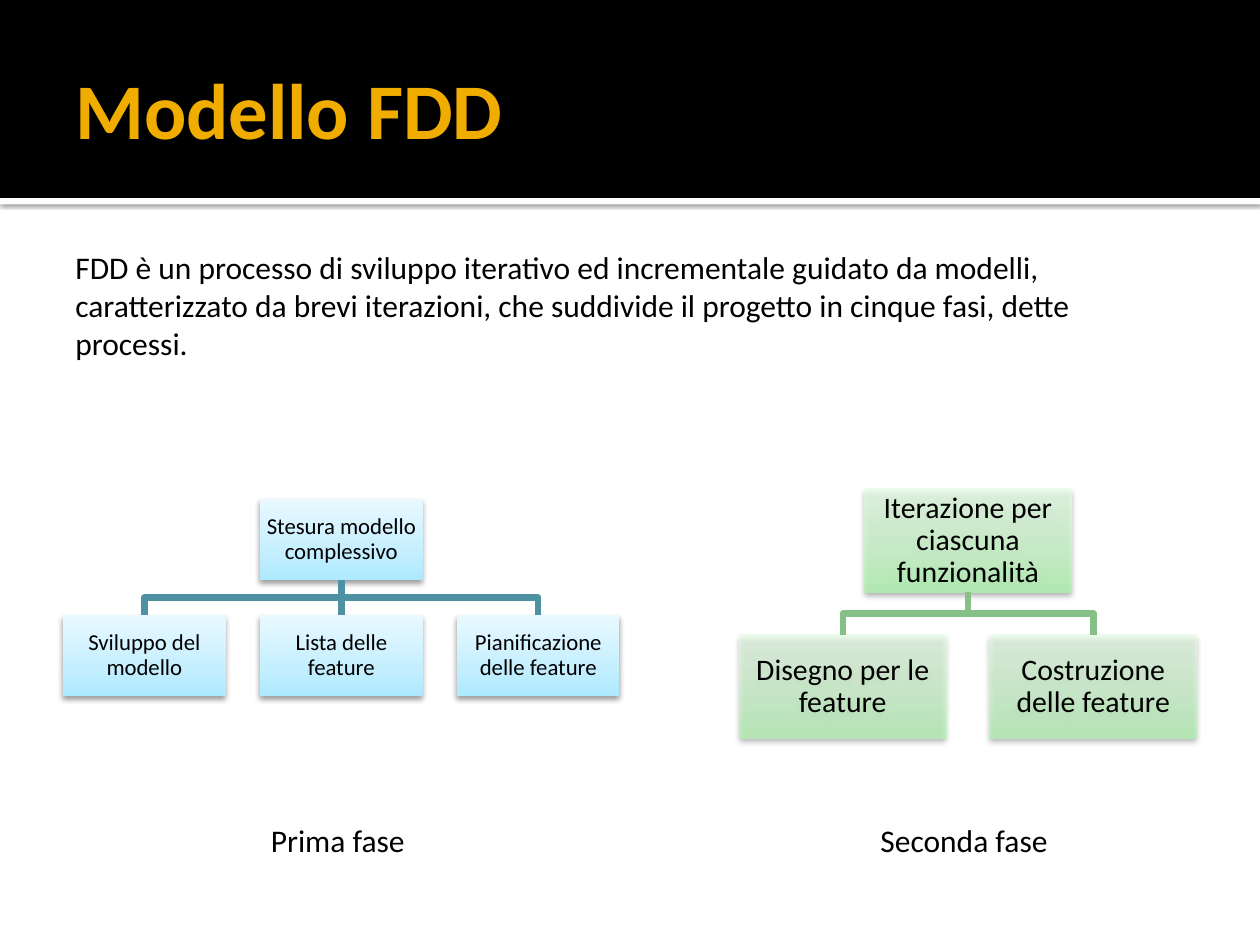
"""Build the slide on the FDD model: heading, definition and two phase trees."""
import pptx
import pptx.dml.color
import pptx.enum.shapes
import pptx.enum.text
import pptx.oxml
import pptx.oxml.ns
import pptx.util

Cm = pptx.util.Cm
Pt = pptx.util.Pt
ANCHOR = pptx.enum.text.MSO_ANCHOR
ALIGN = pptx.enum.text.PP_ALIGN
NS = pptx.oxml.ns.nsdecls("a")

TITLE = "Modello FDD"
BODY = ("FDD è un processo di sviluppo iterativo ed incrementale guidato da modelli, "
        "caratterizzato da brevi iterazioni, che suddivide il progetto in cinque fasi, "
        "dette processi.")
TREES = [
    dict(root="Stesura modello complessivo",
         children=["Sviluppo del modello", "Lista delle feature", "Pianificazione delle feature"],
         left=1.27, pitch=3.97, box=(3.28, 1.64), tops=(10.06, 12.4), size=13, line="4D91A3",
         stops=[(0, "ADE9FF"), (35, "C5EFFF"), (100, "E9F9FF")], alphas=(100, 100)),
    dict(root="Iterazione per ciascuna funzionalità",
         children=["Disegno per le feature", "Costruzione delle feature"],
         left=14.91, pitch=5.05, box=(4.16, 2.08), tops=(9.86, 12.8), size=17, line="85C086",
         stops=[(0, "B0F6B1"), (35, "C8F8C8"), (100, "E9FDE9")], alphas=(80, 70)),
]
CAPTIONS = [("Prima fase", 5.21, 3.3), ("Seconda fase", 17.5, 4.04)]


def rgb(value):
    return pptx.dml.color.RGBColor.from_string(value)


def write(sp, text, size, color="000000", bold=False):
    tf = sp.text_frame
    tf.word_wrap = True
    p = tf.paragraphs[0]
    p.text = text
    p.font.name, p.font.size, p.font.bold = "Calibri", Pt(size), bold
    p.font.color.rgb = rgb(color)
    return tf


def add_text(s, text, box, size, **style):
    return write(s.shapes.add_textbox(*map(Cm, box)), text, size, **style)


def add_rect(s, box, fill=None):
    sp = s.shapes.add_shape(pptx.enum.shapes.MSO_SHAPE.RECTANGLE, *map(Cm, box))
    sp.shadow.inherit = False
    sp.line.fill.background()
    if fill:
        sp.fill.solid()
        sp.fill.fore_color.rgb = rgb(fill)
    return sp


def add_shadow(sp, alpha, blur, dist):
    effects = sp._element.spPr.find(pptx.oxml.ns.qn("a:effectLst"))
    effects.append(pptx.oxml.parse_xml(
        f'<a:outerShdw {NS} blurRad="{Pt(blur)}" dist="{Pt(dist)}" dir="5400000" rotWithShape="0">'
        f'<a:srgbClr val="000000"><a:alpha val="{alpha * 1000}"/></a:srgbClr></a:outerShdw>'))


def add_node(s, tree, text, left, level):
    w, h = tree["box"]
    sp = add_rect(s, (left, tree["tops"][level], w, h))
    sp.fill.gradient()
    sp.fill.gradient_angle = 90
    stops = "".join(
        f'<a:gs pos="{pos * 1000}"><a:srgbClr val="{color}">'
        f'<a:alpha val="{tree["alphas"][level] * 1000}"/></a:srgbClr></a:gs>'
        for pos, color in tree["stops"])
    grad = sp._element.spPr.find(pptx.oxml.ns.qn("a:gradFill"))
    grad.replace(grad.find(pptx.oxml.ns.qn("a:gsLst")),
                 pptx.oxml.parse_xml(f"<a:gsLst {NS}>{stops}</a:gsLst>"))
    add_shadow(sp, 38, 3.5, 2)
    tf = write(sp, text, tree["size"])
    tf.vertical_anchor = ANCHOR.MIDDLE
    tf.margin_left = tf.margin_right = tf.margin_top = tf.margin_bottom = Cm(0.03)
    tf.paragraphs[0].alignment = ALIGN.CENTER
    tf.paragraphs[0].line_spacing = 0.9
    return sp


def add_link(s, root, child, color):
    x1, y1 = root.left + root.width // 2, root.top + root.height
    x2, y2 = child.left + child.width // 2, child.top
    if abs(x1 - x2) < Cm(0.02):
        link = s.shapes.add_connector(pptx.enum.shapes.MSO_CONNECTOR.STRAIGHT, x1, y1, x2, y2)
        link.begin_connect(root, 2)
        link.end_connect(child, 0)
        link._element.spPr.append(pptx.oxml.parse_xml(f"<a:effectLst {NS}/>"))
    else:
        mid = (y1 + y2) // 2
        path = s.shapes.build_freeform(x1, y1)
        path.add_line_segments([(x1, mid), (x2, mid), (x2, y2)], close=False)
        link = path.convert_to_shape()
        link.shadow.inherit = False
        link.fill.background()
    link.line.color.rgb = rgb(color)
    link.line.width = Pt(3.78)


def add_tree(s, tree):
    lefts = [tree["left"] + i * tree["pitch"] for i in range(len(tree["children"]))]
    root = add_node(s, tree, tree["root"], (lefts[0] + lefts[-1]) / 2, 0)
    for text, left in zip(tree["children"], lefts):
        add_link(s, root, add_node(s, tree, text, left, 1), tree["line"])


def main():
    prs = pptx.Presentation()
    prs.slide_width, prs.slide_height = Cm(25.4), Cm(19.05)
    s = prs.slides.add_slide(prs.slide_layouts[6])
    add_shadow(add_rect(s, (0, 3.99, 25.4, 0.13), "FFFFFF"), 60, 2.5, 0.8)
    add_rect(s, (0, 0, 25.4, 3.99), "000000")
    tf = add_text(s, TITLE, (1.27, 0.43, 22.86, 3.48), 45, color="F0AD00", bold=True)
    tf.vertical_anchor = ANCHOR.MIDDLE
    add_text(s, BODY, (1.27, 4.88, 22.86, 2.57), 18)
    for tree in TREES:
        add_tree(s, tree)
    for text, left, width in CAPTIONS:
        add_text(s, text, (left, 16.43, width, 1.02), 18).word_wrap = False
    prs.save("out.pptx")


if __name__ == "__main__":
    main()
